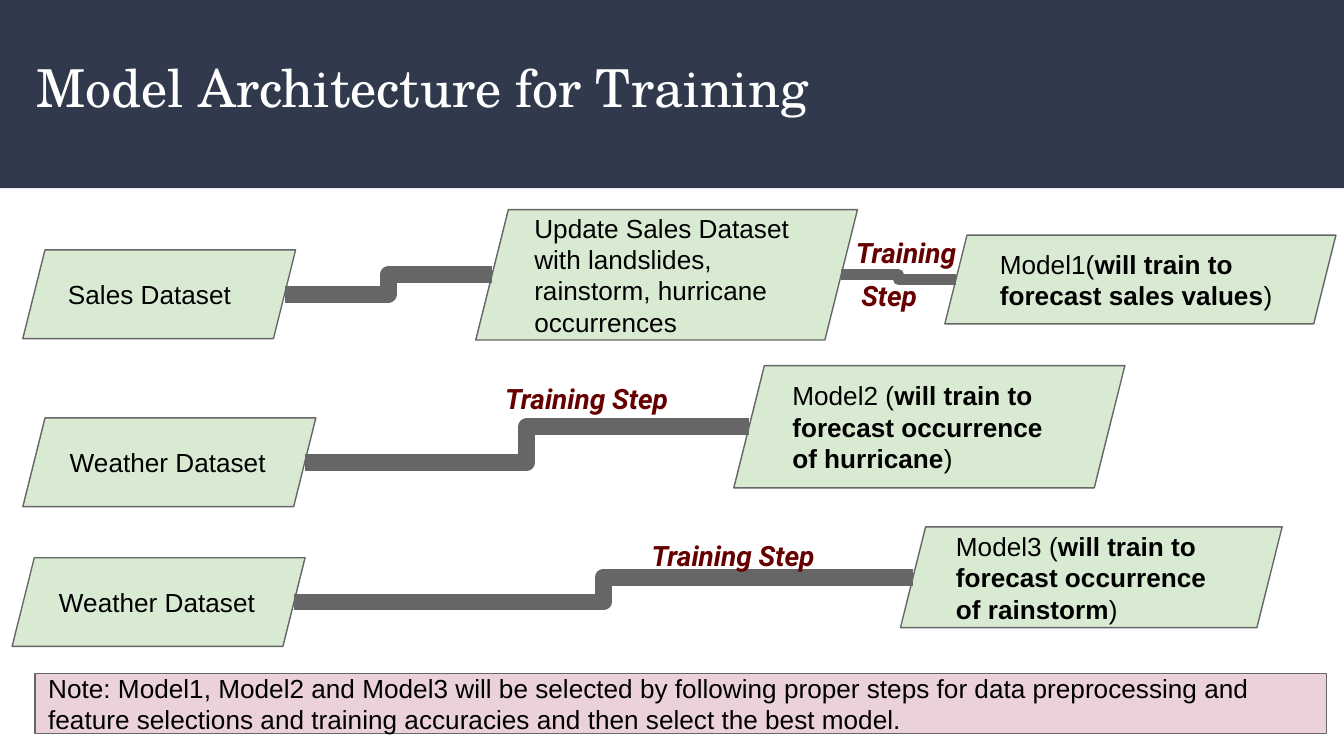
from dataclasses import dataclass

from lxml.etree import SubElement
from pptx import Presentation
from pptx.dml.color import RGBColor
from pptx.enum.shapes import MSO_CONNECTOR as Link, MSO_SHAPE as Preset
from pptx.enum.text import MSO_ANCHOR as Anchor, PP_ALIGN as Align
from pptx.oxml.ns import qn
from pptx.util import Inches, Pt


@dataclass(frozen=True)
class Theme:
    navy: str = "31394D"
    white: str = "FFFFFF"
    black: str = "000000"
    green: str = "D9EAD3"
    pink: str = "EAD1DC"
    grey: str = "666666"
    maroon: str = "660000"
    title_font: str = "TeX Gyre Schola"
    body_font: str = "Arial"
    label_font: str = "Roboto"
    title_size: int = 28
    body_size: int = 14
    label_size: int = 15
    outline: float = 0.75
    slant: float = 0.25
    inset: float = 0.1


THEME = Theme()


@dataclass(frozen=True)
class Box:
    left: float
    top: float
    width: float
    height: float

    def within(self, left, top, width, height):
        return Box(self.left + left, self.top + top, width, height)

    def lengths(self):
        return [Inches(v) for v in (self.left, self.top, self.width, self.height)]

    # Middles of the slanted sides of a parallelogram
    def entry(self):
        return self.left + self.height * THEME.slant / 2, self.top + self.height / 2

    def exit(self):
        return (self.left + self.width - self.height * THEME.slant / 2,
                self.top + self.height / 2)


def color(code):
    return RGBColor.from_string(code)


def write(shape, runs, font, size, ink, anchor=Anchor.TOP, italic=False):
    """Fill a shape with one paragraph of (text, bold) runs."""
    frame = shape.text_frame
    frame.word_wrap = True
    frame.vertical_anchor = anchor
    frame.margin_left = frame.margin_right = Inches(THEME.inset)
    frame.margin_top = frame.margin_bottom = Inches(THEME.inset)
    para = frame.paragraphs[0]
    para.alignment = Align.LEFT
    for text, bold in runs:
        span = para.add_run()
        span.text = text
        span.font.name = font
        span.font.size = Pt(size)
        span.font.bold = bold
        span.font.italic = italic
        span.font.color.rgb = color(ink)


def add_panel(page, preset, box, fill, line=THEME.grey):
    panel = page.shapes.add_shape(preset, *box.lengths())
    panel.shadow.inherit = False
    panel.fill.solid()
    panel.fill.fore_color.rgb = color(fill)
    if line:
        panel.line.color.rgb = color(line)
        panel.line.width = Pt(THEME.outline)
    else:
        panel.line.fill.background()
    return panel


def add_header(page, box, title):
    add_panel(page, Preset.RECTANGLE, box, THEME.navy, line=None)
    holder = page.shapes.add_textbox(*box.within(0.17, 0.31, 9.32, 0.68).lengths())
    write(holder, [(title, False)], THEME.title_font, THEME.title_size, THEME.white)


def add_stage(page, box, runs):
    stage = add_panel(page, Preset.PARALLELOGRAM, box, THEME.green)
    stage.adjustments[0] = THEME.slant
    write(stage, runs, THEME.body_font, THEME.body_size, THEME.black, Anchor.MIDDLE)


def add_link(page, source, target, weight):
    ends = [Inches(v) for v in (*source.exit(), *target.entry())]
    link = page.shapes.add_connector(Link.ELBOW, *ends)
    link.line.color.rgb = color(THEME.grey)
    link.line.width = Pt(weight)
    properties = link._element.spPr
    SubElement(properties.find(qn("a:ln")), qn("a:round"))
    SubElement(properties, qn("a:effectLst"))


def add_flow(page, box, stages, weights, labels):
    """One row: stages from left to right, links between them, labels on top."""
    places = [box.within(*offset) for offset, _ in stages]
    for place, (_, runs) in zip(places, stages):
        add_stage(page, place, runs)
    for source, target, weight in zip(places, places[1:], weights):
        add_link(page, source, target, weight)
    for offset, text in labels:
        label = page.shapes.add_textbox(*box.within(*offset).lengths())
        write(label, [(text, True)], THEME.label_font, THEME.label_size,
              THEME.maroon, italic=True)


def add_note(page, box, text):
    note = add_panel(page, Preset.RECTANGLE, box, THEME.pink)
    write(note, [(text, False)], THEME.body_font, THEME.body_size, THEME.black,
          Anchor.MIDDLE)


def plain(text):
    return [(text, False)]


def model(name, task):
    return [(name + "(", False), ("will train to forecast " + task, True), (")", False)]


# Each flow: row box, stages, link weights, labels; offsets are within the row
FLOWS = [
    (Box(0.17, 1.56, 9.77, 0.97),
     [((0, 0.3, 2.03, 0.66), plain("Sales Dataset")),
      ((3.37, 0, 2.84, 0.97), plain("Update Sales Dataset with landslides, "
                                    "rainstorm, hurricane occurrences")),
      ((6.86, 0.19, 2.91, 0.66), model("Model1", "sales values"))],
     [9, 6],
     [((6.1, 0.09, 1.16, 0.45), "Training"), ((6.14, 0.41, 0.85, 0.69), "Step")]),
    (Box(0.17, 2.72, 8.2, 1.05),
     [((0, 0.39, 2.18, 0.66), plain("Weather Dataset")),
      ((5.29, 0, 2.91, 0.91), model("Model2 ", "occurrence of hurricane"))],
     [9],
     [((3.49, 0.02, 1.54, 0.45), "Training Step")]),
    (Box(0.09, 3.92, 9.45, 0.89),
     [((0, 0.23, 2.18, 0.66), plain("Weather Dataset")),
      ((6.61, 0, 2.84, 0.75), model("Model3 ", "occurrence of rainstorm"))],
     [9],
     [((4.66, -0.01, 1.54, 0.71), "Training Step")]),
]


def main():
    # Widescreen page, 16 to 9
    deck = Presentation()
    deck.slide_width = Inches(10)
    deck.slide_height = Inches(10 * 9 / 16)
    page = deck.slides.add_slide(deck.slide_layouts[6])

    add_header(page, Box(0, 0, 10, 1.4), "Model Architecture for Training")
    for flow in FLOWS:
        add_flow(page, *flow)
    add_note(page, Box(0.26, 5.01, 9.61, 0.45),
             "Note: Model1, Model2 and Model3 will be selected by following proper "
             "steps for data preprocessing and feature selections and training "
             "accuracies and then select the best model.")
    deck.save("out.pptx")


if __name__ == "__main__":
    main()
